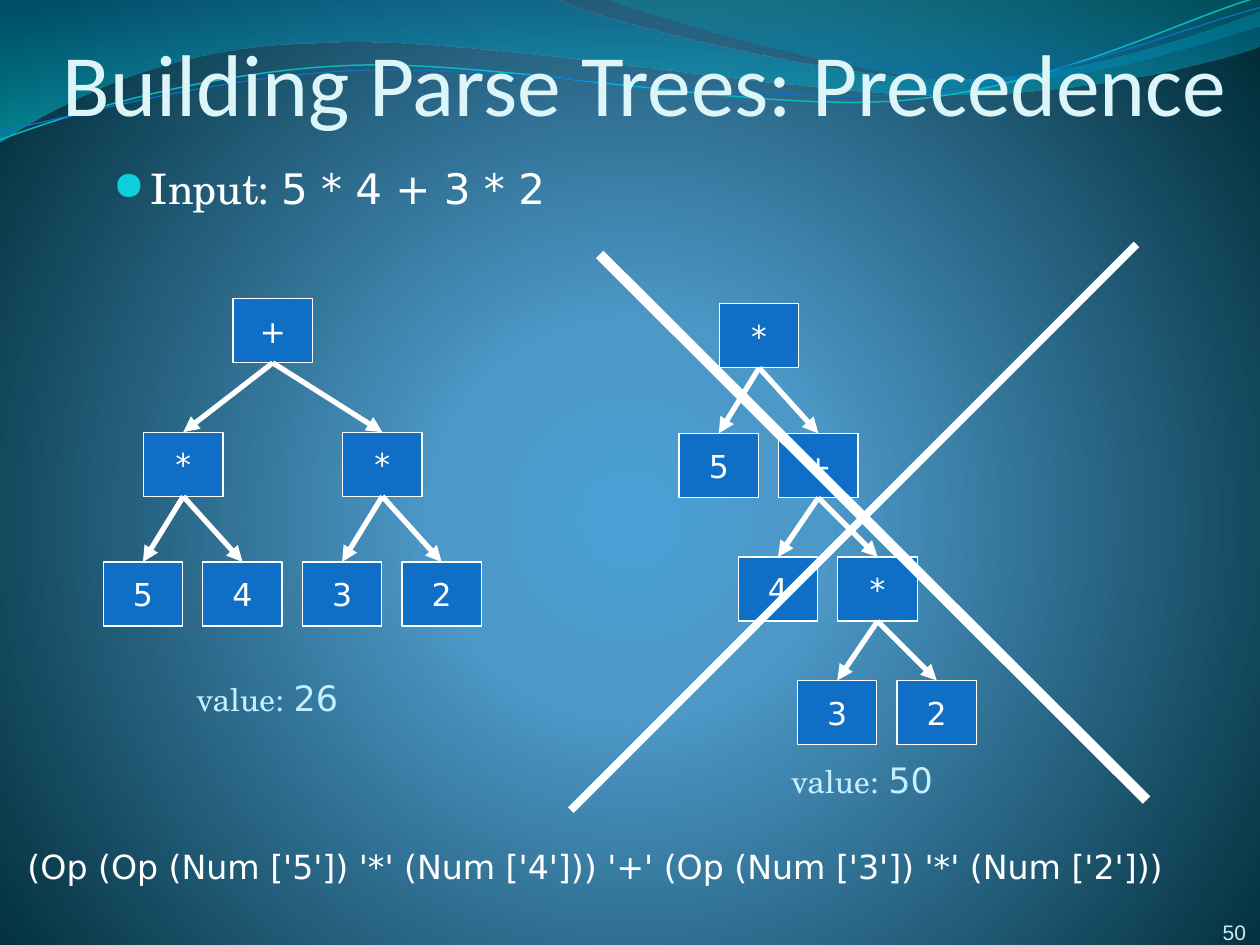
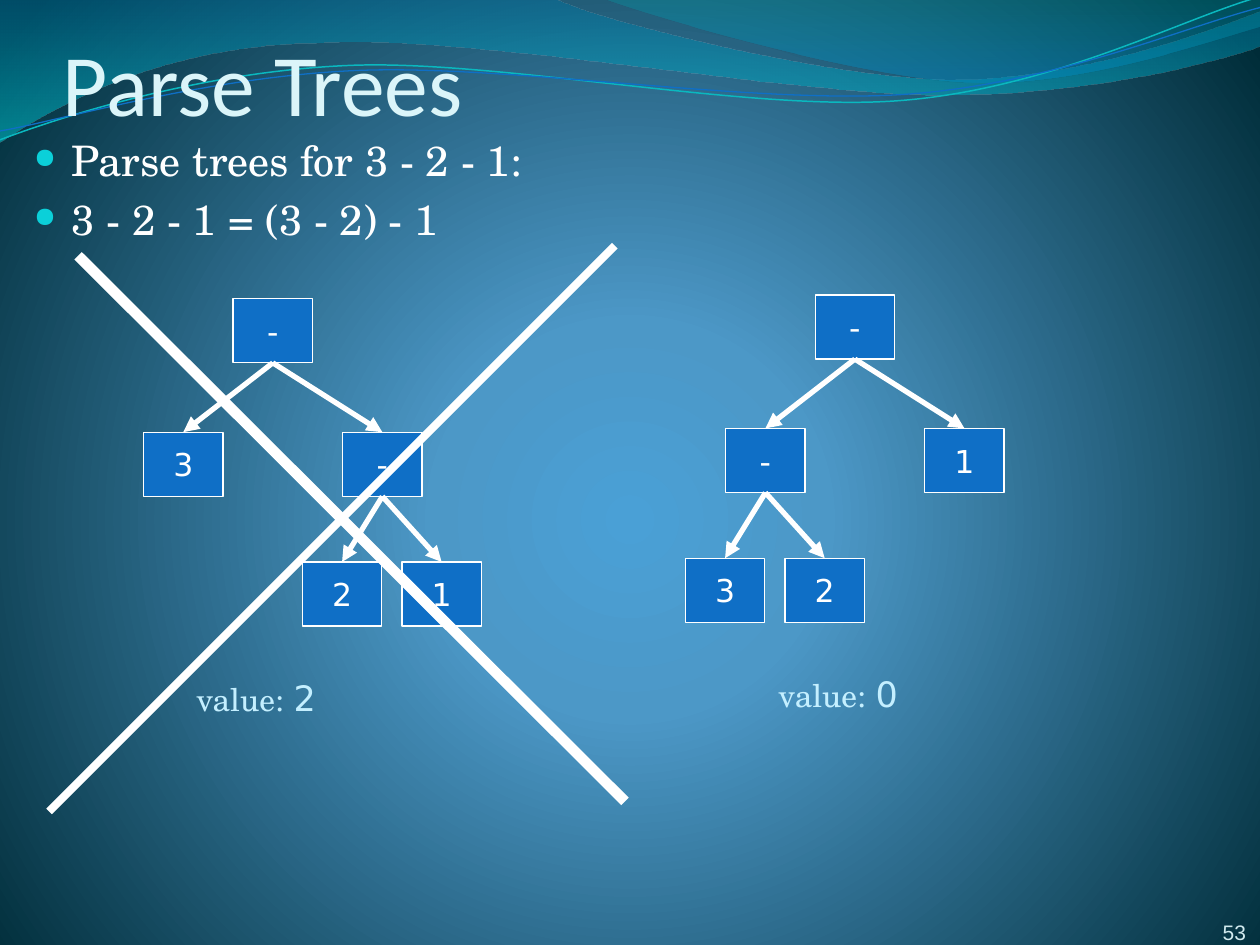
import lxml.etree
import pptx
import pptx.dml.color
import pptx.enum.shapes
import pptx.enum.text
import pptx.oxml.ns
import pptx.util

PX = 9144
WHITE, BLUE, AQUA, TEAL = "FFFFFF", "0F6FC6", "0BD0D9", "0AB8BF"
TITLE, PALE, NUMBER = "DBF5F9", "C4EFFF", "D1EAEE"
SERIF, SANS = "TeX Gyre Schola", "DejaVu Sans"
NODE_W, NODE_H = 63, 51

WIDE = dict(root=102, steps=[(-71, 87, 106), (-32, 47, 103)], value=(63, 295))
CHAIN = dict(root=31, steps=[(-32, 47, 103), (-32, 47, 98), (-32, 47, 98)],
             value=(78, 356))

BACKDROP = [(0, "4AA0D6", 100), (25, "4C98C7", 100), (100, "002C38", 100)]
BANDS = [
    ([(0, "0074A1", 45), (100, "00C6CF", 55)],
     [(0, -1), (440, -1), (476, 17, 664, 63, 758, 63),
      (853, 63, 958, 26, 1000, 9), (1001, 36), (983, 44, 870, 76, 746, 75),
      (622, 75, 382, 28, 257, 34), (129, 35, 46, 83, -1, 113)]),
    ([(0, "00A1A9", 30), (80, "008BBF", 45)],
     [(479, -1), (509, 11, 682, 62, 769, 65), (856, 69, 961, 32, 1000, 21),
      (1000, 0)]),
]
STRANDS = [
    (TEAL, 0.85, [(0, 111), (48, 93, 158, 57, 277, 52),
                  (395, 47, 593, 89, 713, 80), (833, 71, 938, 15, 998, -2)]),
    (BLUE, 0.75, [(0, 104), (47, 96, 164, 61, 283, 56),
                  (403, 51, 597, 83, 717, 75), (836, 67, 941, 21, 1000, 6)]),
]


def px(*lengths):
    """Turn px lengths into EMU."""
    return [pptx.util.Emu(n * PX) for n in lengths]


def rgb(color):
    """Turn a hex string into a colour."""
    return pptx.dml.color.RGBColor.from_string(color)


def add_xml(parent, tag, **attrs):
    """Append a DrawingML element and return it."""
    el = lxml.etree.SubElement(parent, pptx.oxml.ns.qn(tag))
    for name, value in attrs.items():
        el.set(name, str(value))
    return el


def set_gradient(fill, owner, stops, radial=False):
    """Fill with stops of percent, colour and opacity."""
    fill.gradient()
    grad = next(owner.iter(pptx.oxml.ns.qn("a:gradFill")))
    for child in list(grad):
        grad.remove(child)
    gs_list = add_xml(grad, "a:gsLst")
    for pos, color, alpha in stops:
        gs = add_xml(gs_list, "a:gs", pos=pos * 1000)
        clr = add_xml(gs, "a:srgbClr", val=color)
        if alpha < 100:
            add_xml(clr, "a:alpha", val=alpha * 1000)
    if radial:
        path = add_xml(grad, "a:path", path="circle")
        add_xml(path, "a:fillToRect", l=10000, t=110000, r=10000, b=100000)
    else:
        add_xml(grad, "a:lin", ang=5400000, scaled=1)


def add_path(s, moves, close):
    """Draw a freeform of straight and cubic moves without shadow."""
    points = [m[i:i + 2] for m in moves for i in range(0, len(m), 2)]
    builder = s.shapes.build_freeform(*points[0], scale=PX)
    builder.add_line_segments(points[1:], close=close)
    sp = builder.convert_to_shape()
    sp.shadow.inherit = False
    segments = iter(list(sp._element.iter(pptx.oxml.ns.qn("a:lnTo"))))
    for move in moves[1:]:
        segment = next(segments)
        if len(move) == 6:
            segment.addprevious(curve := segment.makeelement(
                pptx.oxml.ns.qn("a:cubicBezTo")))
            for part in (segment, next(segments), next(segments)):
                curve.append(part[0])
                part.getparent().remove(part)
    return sp


def add_waves(s):
    """Draw the backdrop, bands and strands."""
    set_gradient(s.background.fill, s._element, BACKDROP, radial=True)
    for stops, moves in BANDS:
        sp = add_path(s, moves, True)
        set_gradient(sp.fill, sp._element, stops)
        sp.line.fill.background()
    for color, width, moves in STRANDS:
        sp = add_path(s, moves, False)
        sp.fill.background()
        sp.line.color.rgb = rgb(color)
        sp.line.width = pptx.util.Pt(width)


def add_run(p, text, size, font, color):
    """Append a styled run."""
    r = p.add_run()
    r.text = text
    r.font.size = pptx.util.Pt(size)
    r.font.name = font
    r.font.color.rgb = rgb(color)


def add_text(s, box, paragraphs, insets=(10, 5, 10, 5), anchor="TOP", align="LEFT"):
    """Place a wrapping text box holding paragraphs of runs."""
    tf = s.shapes.add_textbox(*px(*box)).text_frame
    tf.word_wrap = True
    tf.vertical_anchor = pptx.enum.text.MSO_ANCHOR[anchor]
    tf.margin_left, tf.margin_top, tf.margin_right, tf.margin_bottom = px(*insets)
    for i, runs in enumerate(paragraphs):
        p = tf.add_paragraph() if i else tf.paragraphs[0]
        p.alignment = pptx.enum.text.PP_ALIGN[align]
        for run in runs:
            add_run(p, *run)
    return tf


def add_bullets(s, box, paragraphs, bullet_size):
    """Place bulleted paragraphs."""
    for p in add_text(s, box, paragraphs).paragraphs:
        p.space_before = pptx.util.Pt(4.8)
        pPr = p._p.get_or_add_pPr()
        pPr.set("marL", str(30 * PX))
        pPr.set("indent", str(-30 * PX))
        add_xml(add_xml(pPr, "a:buClr"), "a:srgbClr", val=AQUA)
        add_xml(pPr, "a:buSzPct", val=bullet_size * 1000)
        add_xml(pPr, "a:buChar", char="●")


def add_line(s, start, end, width):
    """Draw a white straight connector without shadow."""
    c = s.shapes.add_connector(pptx.enum.shapes.MSO_CONNECTOR.STRAIGHT,
                               *px(*start, *end))
    c.line.color.rgb = rgb(WHITE)
    c.line.width = pptx.util.Pt(width)
    add_xml(c._element.spPr, "a:effectLst")
    return c


def add_arrow(s, parent, child):
    """Join a node's bottom to its child's top."""
    c = add_line(s, (0, 0), (0, 0), 3)
    c.begin_connect(parent, 2)
    c.end_connect(child, 0)
    add_xml(c._element.spPr.find(pptx.oxml.ns.qn("a:ln")), "a:tailEnd", type="triangle")


def add_node(s, x, y, text):
    """Draw one boxed tree node."""
    sp = s.shapes.add_shape(pptx.enum.shapes.MSO_SHAPE.RECTANGLE,
                            *px(x, y, NODE_W, NODE_H))
    sp.shadow.inherit = False
    sp.fill.solid()
    sp.fill.fore_color.rgb = rgb(BLUE)
    sp.line.color.rgb = rgb(WHITE)
    sp.line.width = pptx.util.Pt(0.75)
    tf = sp.text_frame
    tf.vertical_anchor = pptx.enum.text.MSO_ANCHOR.MIDDLE
    p = tf.paragraphs[0]
    p.alignment = pptx.enum.text.PP_ALIGN.CENTER
    add_run(p, text, 18, SANS, WHITE)
    return sp


def add_branch(s, x, y, tree, steps):
    """Draw a node and, below it, its two branches."""
    if isinstance(tree, str):
        return add_node(s, x, y, tree)
    label, *children = tree
    node = add_node(s, x, y, label)
    left, right, drop = steps[0]
    for shift, child in zip((left, right), children):
        add_arrow(s, node, add_branch(s, x + shift, y + drop, child, steps[1:]))
    return node


def add_tree(s, x, y, tree, value, form):
    """Draw a parse tree and its value from the top left corner."""
    add_branch(s, x + form["root"], y, tree, form["steps"])
    dx, dy = form["value"]
    add_text(s, (x + dx, y + dy, 165, 54),
             [[("value:", 18, SERIF, PALE), (" ", 20, SERIF, PALE),
               (value, 20, SANS, PALE)]])


def add_cross(s, x, y):
    """Cross out the tree behind the box."""
    add_line(s, (x + 23, y + 8), (x + 457, y + 441), 6)
    add_line(s, (x, y + 449), (x + 449, y), 4.5)


def add_slide(prs, title, number):
    """Start a slide with backdrop, title and number."""
    s = prs.slides.add_slide(prs.slide_layouts[6])
    add_waves(s)
    add_text(s, (50, 0, 927, 125), [[(title, 50, "Calibri", TITLE)]],
             (0, 5, 0, 0), "MIDDLE")
    add_text(s, (906, 726, 83, 24), [[(number, 12, "Arial", NUMBER)]],
             (0, 0, 0, 0), "BOTTOM", "RIGHT")
    return s


def precedence_slide(prs):
    """Build the slide on operator precedence."""
    s = add_slide(prs, "Building Parse Trees: Precedence", "50")
    add_bullets(s, (80, 124, 617, 54),
                [[("Input: ", 24, SERIF, WHITE), ("5 * 4 + 3 * 2", 24, SANS, WHITE)]], 95)
    add_tree(s, 83, 237, ("+", ("*", "5", "4"), ("*", "3", "2")), "26", WIDE)
    add_tree(s, 540, 241, ("*", "5", ("+", "4", ("*", "3", "2"))), "50", CHAIN)
    add_text(s, (12, 667, 980, 54),
             [[("(Op (Op (Num ['5']) '*' (Num ['4'])) '+' (Op (Num ['3']) '*' (Num ['2']))",
                19, SANS, WHITE)]])
    add_cross(s, 453, 194)


def associativity_slide(prs):
    """Build the slide on grouping repeated subtraction."""
    s = add_slide(prs, "Parse Trees", "53")
    add_bullets(s, (17, 102, 967, 118),
                [[(text, 24, SERIF, WHITE)] for text in
                 ("Parse trees for 3 - 2 - 1:", "3 - 2 - 1 = (3 - 2) - 1")], 67)
    add_tree(s, 83, 237, ("-", "3", ("-", "2", "1")), "2", WIDE)
    add_tree(s, 545, 234, ("-", ("-", "3", "2"), "1"), "0", WIDE)
    add_cross(s, 39, 195)


def main():
    """Build and save the slides."""
    prs = pptx.Presentation()
    prs.slide_width, prs.slide_height = px(1000, 750)
    precedence_slide(prs)
    associativity_slide(prs)
    prs.save("out.pptx")


if __name__ == "__main__":
    main()
